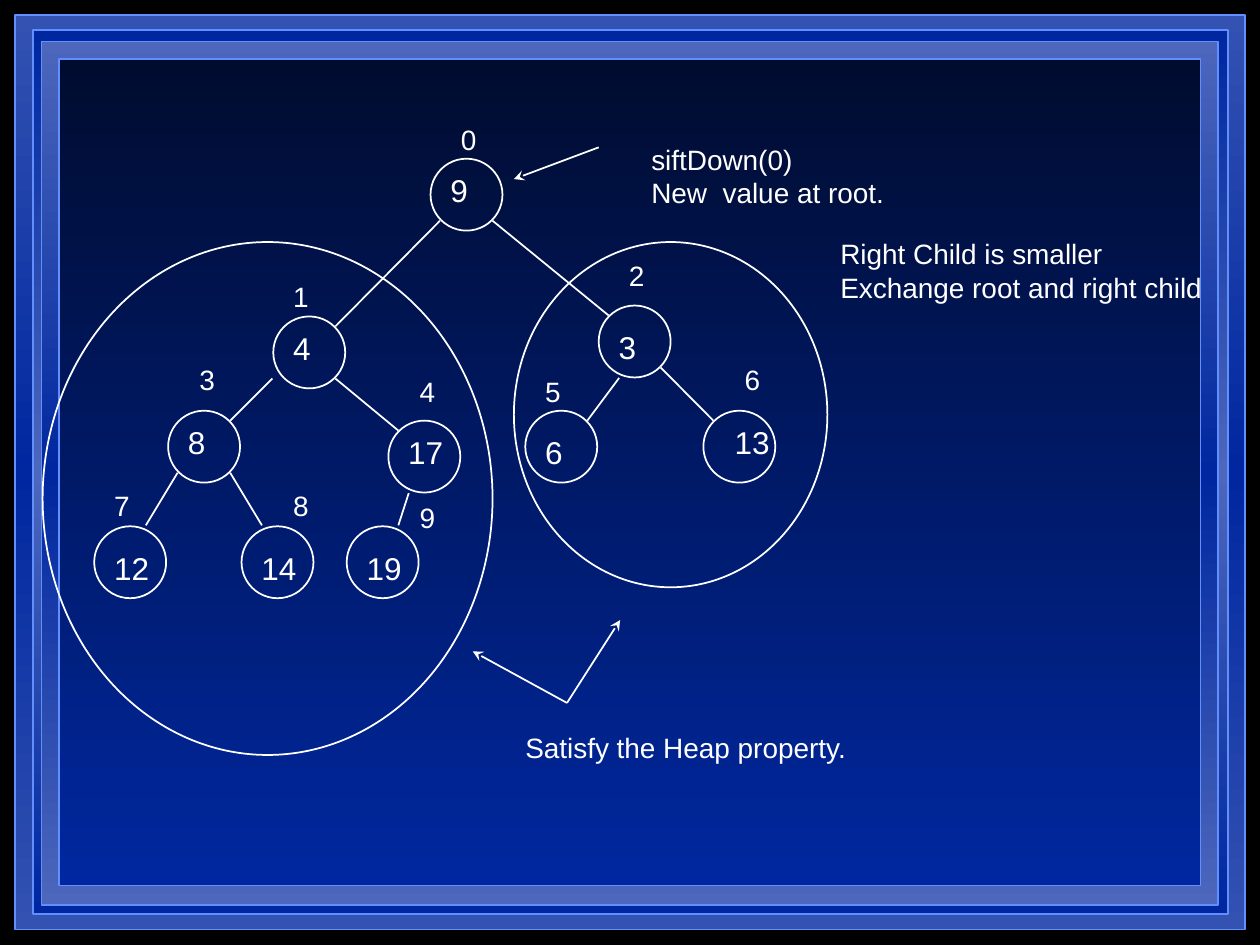
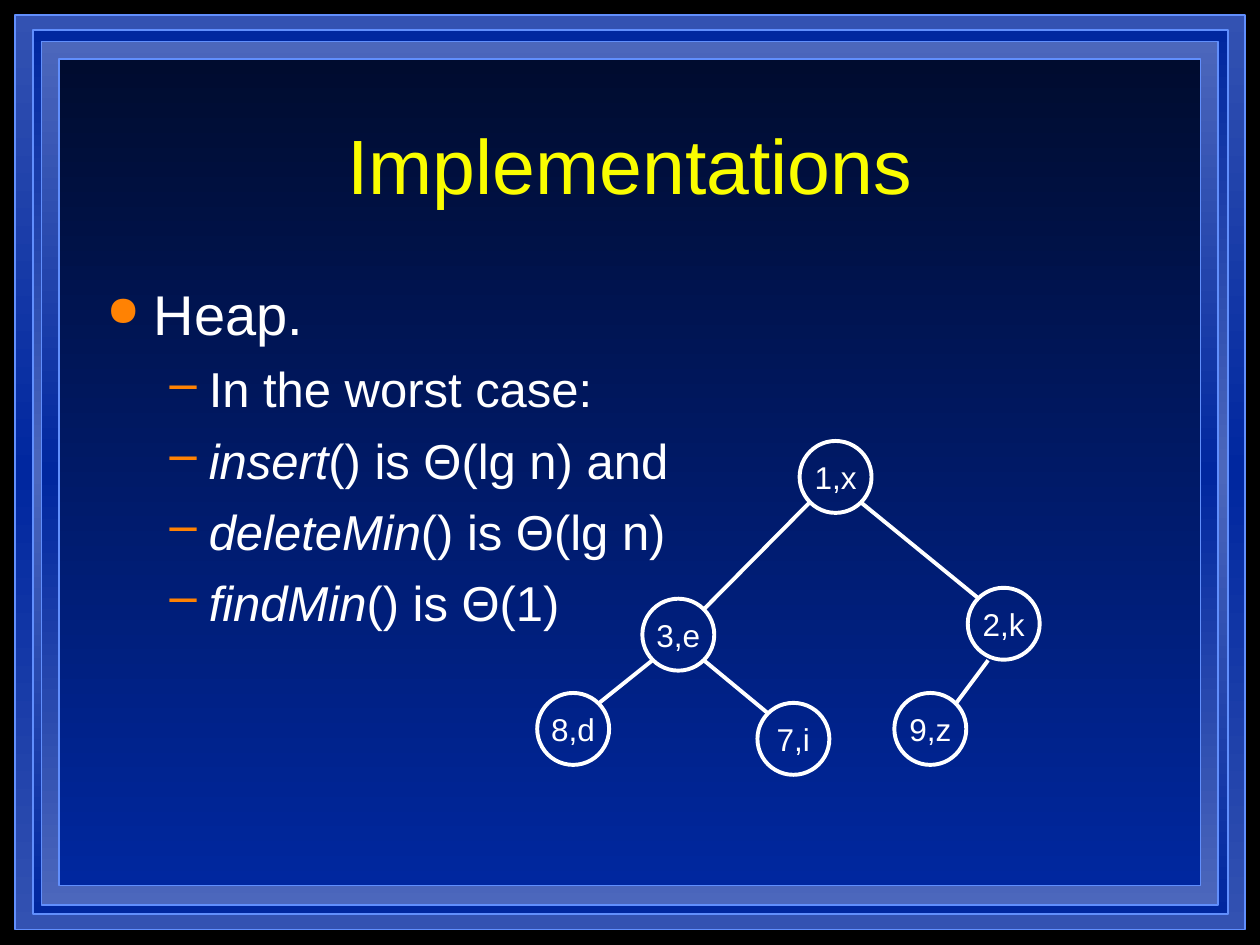
"""Build two slides on binary heaps: sifting down a new root, and heap costs."""
from lxml import etree
from pptx import Presentation
from pptx.dml.color import RGBColor
from pptx.enum.shapes import MSO_CONNECTOR, MSO_SHAPE
from pptx.enum.text import MSO_ANCHOR, MSO_AUTO_SIZE, PP_ALIGN
from pptx.oxml.ns import qn
from pptx.util import Cm, Pt

LINE = MSO_CONNECTOR.STRAIGHT
OVAL, RECT = MSO_SHAPE.OVAL, MSO_SHAPE.RECTANGLE
LEFT, CENTER = PP_ALIGN.LEFT, PP_ALIGN.CENTER
TOP, MIDDLE = MSO_ANCHOR.TOP, MSO_ANCHOR.MIDDLE
FIT, FIXED = MSO_AUTO_SIZE.SHAPE_TO_FIT_TEXT, MSO_AUTO_SIZE.NONE

BLACK = RGBColor(0x00, 0x00, 0x00)
WHITE = RGBColor(0xFF, 0xFF, 0xFF)
YELLOW = RGBColor(0xFA, 0xFD, 0x00)
ORANGE = RGBColor(0xFF, 0x82, 0x03)
NIGHT = RGBColor(0x00, 0x0C, 0x2F)
NAVY = RGBColor(0x00, 0x27, 0x9F)
STEEL = RGBColor(0x33, 0x52, 0xB2)
MIST = RGBColor(0x4C, 0x67, 0xBC)
RIM = RGBColor(0x61, 0x8F, 0xFD)
FONT = "Arial"

FRAMES = [
    ((0.3, 0.3, 24.8, 18.44), (STEEL, NAVY, STEEL)),
    ((0.66, 0.61, 24.1, 17.81), (NAVY, MIST, NAVY)),
    ((0.84, 0.84, 23.72, 17.4), (MIST, NAVY, MIST)),
    ((1.19, 1.19, 23.01, 16.66), (NIGHT, NAVY)),
]

NODE = 1.45
SPOTS = [(8.68, 3.2), (5.51, 6.38), (12.07, 6.16), (3.39, 8.28), (7.83, 8.48),
         (10.59, 8.28), (14.18, 8.28), (1.9, 10.61), (4.87, 10.61), (6.99, 10.61)]
SW, SE, NW, NE = (0.19, 1.25), (1.25, 1.25), (0.2, 0.2), (1.25, 0.2)
FOOT, WEST = (0.41, 1.46), (-0.02, 1.25)
HEAD_L, HEAD_R = (0.41, -0.02), (1.04, -0.02)
EDGES = {1: (SW, NE), 2: (SE, NW), 3: (SW, NE), 4: (SE, NW), 5: (FOOT, NE),
         6: (SE, NW), 7: (SW, HEAD_R), 8: (SE, HEAD_L), 9: (FOOT, HEAD_R)}

VALUES = [("9", 0.15, 0.13), ("4", 0.15, 0.13), ("3", 0.15, 0.33),
          ("8", 0.15, 0.13), ("17", 0.15, 0.13), ("6", 0.15, 0.33),
          ("13", 0.38, 0.13), ("12", 0.15, 0.33), ("14", 0.15, 0.33),
          ("19", 0.15, 0.33)]
MARKS = [(0.36, -0.86), (0.15, -0.86), (0.36, -1.08), (0.38, -1.09),
         (0.38, -1.06), (0.15, -0.86), (0.58, -1.09), (0.15, -0.88),
         (0.79, -0.88), (1.22, -0.65)]
LOOPS = [(0.86, 4.88, 9.07, 10.34), (10.36, 4.88, 6.32, 6.96)]
ARROWS = [((12.07, 2.97), (10.36, 3.61)), ((11.43, 14.17), (9.53, 13.13)),
          ((11.43, 14.17), (12.5, 12.5))]
NOTES = [
    ((12.88, 2.74, 7.44, 1.6), ["siftDown(0)", "New  value at root."], True),
    ((10.34, 14.6, 7.04, 0.94), ["Satisfy the Heap property."], False),
    ((16.69, 4.65, 7.8, 1.6),
     ["Right Child is smaller", "Exchange root and right child"], False),
]

PAIRS = ["1,x", "3,e", "2,k", "8,d", "7,i", "9,z"]
SHIFT = (7.44, 5.69)
TITLE = "Implementations"
POINTS = [
    (0, [("Heap.", False)]),
    (1, [("In the worst case:", False)]),
    (1, [("insert", True), ("() is Θ(lg n) and", False)]),
    (1, [("deleteMin", True), ("() is Θ(lg n)", False)]),
    (1, [("findMin", True), ("() is Θ(1)", False)]),
]
LEVELS = [
    {"sign": "●", "scale": 75, "size": 32, "left": 0.95, "hang": 0.95, "gap": 0},
    {"sign": "–", "scale": 100, "size": 28, "left": 2.06, "hang": 0.79, "gap": 7},
]


def place(box):
    return [Cm(n) for n in box]


def write(par, text, size=16, color=WHITE, italic=False, align=LEFT):
    par.alignment = align
    run = par.add_run()
    run.text = text
    font = run.font
    font.name, font.size, font.italic = FONT, Pt(size), italic
    font.color.rgb = color


def set_frame(frame, wrap=False, anchor=TOP, fit=FIXED):
    frame.auto_size = fit
    frame.word_wrap = wrap
    frame.vertical_anchor = anchor
    return frame


def add_text(slide, box, lines, wrap=False, **style):
    frame = set_frame(slide.shapes.add_textbox(*place(box)).text_frame, wrap, fit=FIT)
    for i, line in enumerate(lines):
        par = frame.add_paragraph() if i else frame.paragraphs[0]
        write(par, line, **style)


def add_shape(slide, kind, box, color=WHITE, width=1):
    shape = slide.shapes.add_shape(kind, *place(box))
    shape.shadow.inherit = False
    shape.fill.background()
    shape.line.color.rgb = color
    shape.line.width = Pt(width)
    return shape


def add_line(slide, start, end, width=1, arrow=False):
    line = slide.shapes.add_connector(LINE, *place(start + end))
    line.line.color.rgb = WHITE
    line.line.width = Pt(width)
    props = line.element.spPr
    if arrow:
        etree.SubElement(props.find(qn("a:ln")), qn("a:tailEnd"), type="stealth")
    etree.SubElement(props, qn("a:effectLst"))


def shade(shape, colors):
    shape.fill.gradient()
    shape.fill.gradient_angle = 270
    stops = shape.element.spPr.find(".//" + qn("a:gsLst"))
    for old in list(stops):
        stops.remove(old)
    for i, color in enumerate(colors):
        stop = etree.SubElement(stops, qn("a:gs"), pos=str(i * 100000 // (len(colors) - 1)))
        etree.SubElement(stop, qn("a:srgbClr"), val=str(color))


def frame_master(master, slide):
    fill = master.background.fill
    fill.solid()
    fill.fore_color.rgb = BLACK
    for i, (box, colors) in enumerate(FRAMES):
        band = add_shape(slide, RECT, box, RIM)
        shade(band, colors)
        band.element.nvSpPr.cNvPr.id = 100 + i
        master.shapes.element.insert(2 + i, band.element)


def move(spot, by):
    return (spot[0] + by[0], spot[1] + by[1])


def add_heap(slide, spots, edges, width):
    nodes = [add_shape(slide, OVAL, spot + (NODE, NODE), width=width) for spot in spots]
    for child in range(1, len(spots)):
        tail, head = edges[child]
        root = spots[(child - 1) // 2]
        add_line(slide, move(root, tail), move(spots[child], head), width)
    return nodes


def add_point(par, level, runs):
    look = LEVELS[level]
    props = par._p.get_or_add_pPr()
    props.set("marL", str(Cm(look["left"])))
    props.set("indent", str(-Cm(look["hang"])))
    par.level = level
    par.space_before = Pt(look["gap"])
    tint = etree.SubElement(props, qn("a:buClr"))
    etree.SubElement(tint, qn("a:srgbClr"), val=str(ORANGE))
    etree.SubElement(props, qn("a:buSzPct"), val=str(look["scale"] * 1000))
    etree.SubElement(props, qn("a:buChar"), char=look["sign"])
    for text, italic in runs:
        write(par, text, size=look["size"], italic=italic)


def build_sift(slide):
    add_heap(slide, SPOTS, EDGES | {3: (WEST, NE)}, 1)
    for i, (spot, (value, dx, dy), mark) in enumerate(zip(SPOTS, VALUES, MARKS)):
        wide = 0.5 + 0.36 * len(value)
        add_text(slide, move(spot, (dx, dy)) + (wide, 1.02), [value], size=18)
        add_text(slide, move(spot, mark) + (0.84, 0.94), [str(i)])
    for box in LOOPS:
        add_shape(slide, OVAL, box)
    for start, end in ARROWS:
        add_line(slide, start, end, arrow=True)
    for box, lines, wrap in NOTES:
        add_text(slide, box, lines, wrap)


def build_costs(slide):
    title = slide.shapes.title
    title.left, title.top, title.width, title.height = place((1.9, 1.7, 21.6, 3.18))
    frame = set_frame(title.text_frame, True, MIDDLE)
    write(frame.paragraphs[0], TITLE, size=44, color=YELLOW, align=CENTER)
    body = slide.shapes.add_textbox(*place((1.9, 5.51, 21.6, 11.43)))
    frame = set_frame(body.text_frame, True)
    for i, (level, runs) in enumerate(POINTS):
        par = frame.add_paragraph() if i else frame.paragraphs[0]
        add_point(par, level, runs)
    spots = [move(spot, SHIFT) for spot in SPOTS[:len(PAIRS)]]
    for node, pair in zip(add_heap(slide, spots, EDGES, 2.25), PAIRS):
        frame = set_frame(node.text_frame, anchor=MIDDLE)
        write(frame.paragraphs[0], pair, size=18, align=CENTER)


def main():
    prs = Presentation()
    prs.slide_width, prs.slide_height = Cm(25.4), Cm(19.05)
    sift = prs.slides.add_slide(prs.slide_layouts[6])
    frame_master(prs.slide_master, sift)
    build_sift(sift)
    build_costs(prs.slides.add_slide(prs.slide_layouts[5]))
    prs.save("out.pptx")


if __name__ == "__main__":
    main()
